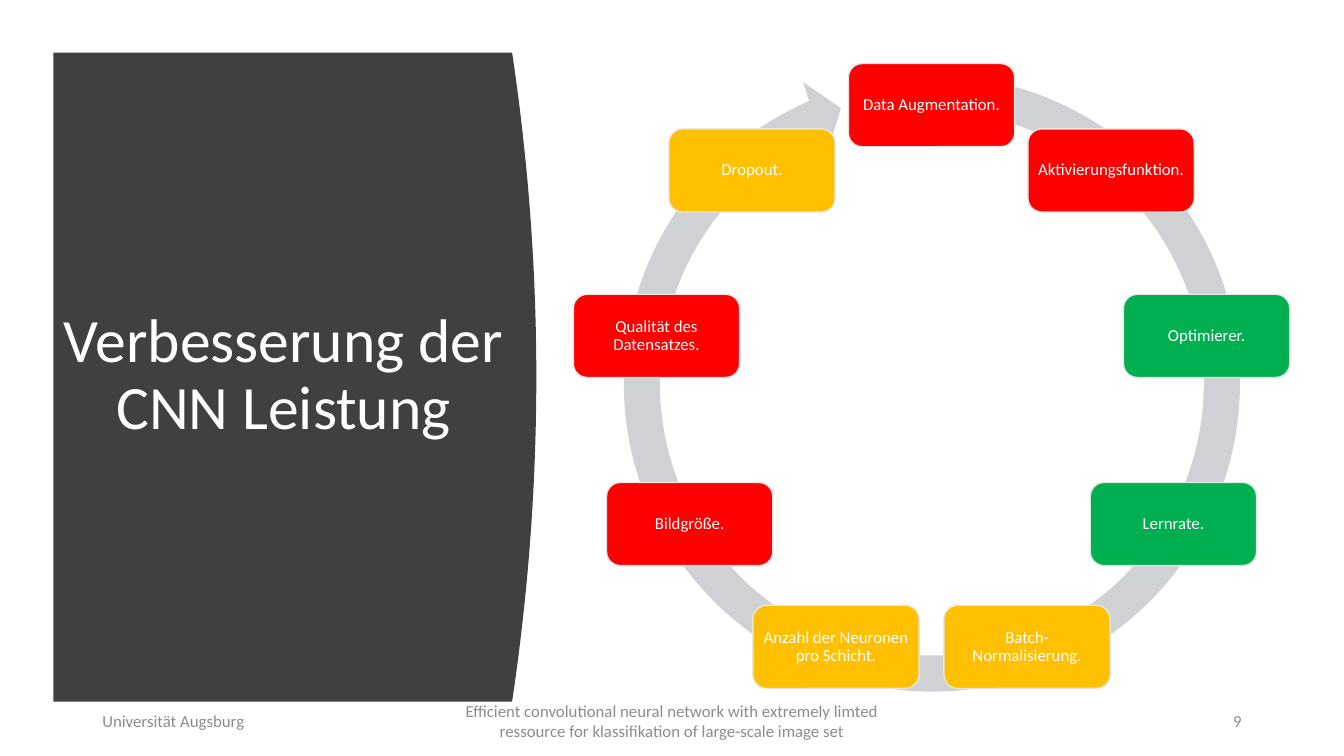
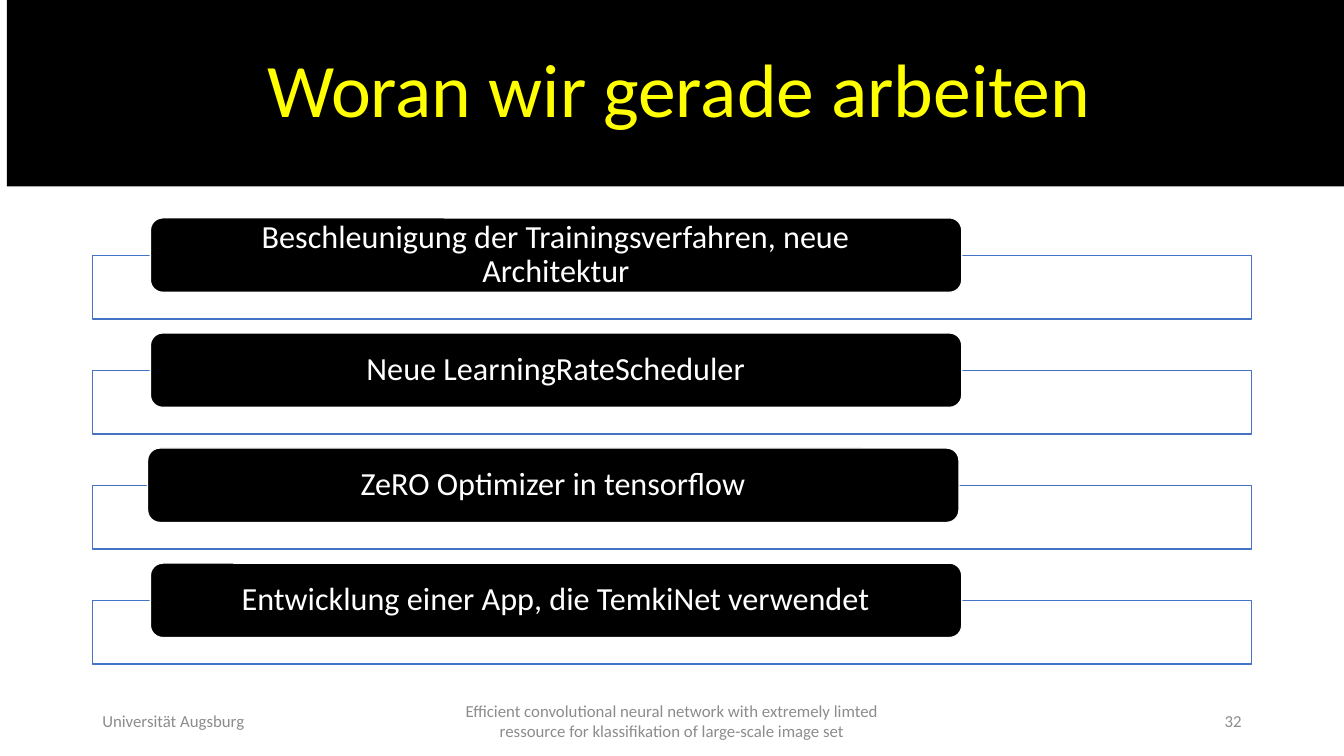
from dataclasses import dataclass
from math import cos, radians, sin

from lxml import etree
from pptx import Presentation
from pptx.dml.color import RGBColor
from pptx.enum.shapes import MSO_SHAPE
from pptx.enum.text import MSO_ANCHOR, MSO_AUTO_SIZE, PP_ALIGN
from pptx.oxml.ns import qn
from pptx.shapes.autoshape import Shape
from pptx.slide import Slide
from pptx.util import Pt

RECTANGLE = MSO_SHAPE.RECTANGLE
ROUNDED = MSO_SHAPE.ROUNDED_RECTANGLE
CIRCULAR_ARROW = MSO_SHAPE.CIRCULAR_ARROW
LEFT, CENTER, RIGHT = PP_ALIGN.LEFT, PP_ALIGN.CENTER, PP_ALIGN.RIGHT
MIDDLE = MSO_ANCHOR.MIDDLE
NO_AUTOFIT = MSO_AUTO_SIZE.NONE

FONT = "Calibri"
COLORS = {
    "white": "FFFFFF",
    "black": "000000",
    "panel": "404040",
    "ring": "CFD1D4",
    "outline": "E7E6E6",
    "red": "FF0000",
    "green": "00B050",
    "amber": "FFC000",
    "yellow": "FFFF00",
    "blue": "4472C4",
    "footer": "8C8C8C",
}
TITLE_ONLY = 5
FOOTER_TOP, FOOTER_HEIGHT = 500.5, 29


@dataclass(frozen=True)
class Box:
    left: float
    top: float
    width: float
    height: float

    def lengths(self) -> tuple[Pt, Pt, Pt, Pt]:
        return Pt(self.left), Pt(self.top), Pt(self.width), Pt(self.height)


@dataclass(frozen=True)
class TextStyle:
    size: float
    color: str
    align: PP_ALIGN = CENTER
    line_spacing: float = 0.9
    inset_x: float = 7.2
    inset_y: float = 3.6


@dataclass(frozen=True)
class Factor:
    text: str
    color: str


@dataclass(frozen=True)
class Task:
    text: str
    shift: float = 0


FACTORS = [
    Factor("Data Augmentation.", "red"),
    Factor("Aktivierungsfunktion.", "red"),
    Factor("Optimierer.", "green"),
    Factor("Lernrate.", "green"),
    Factor("Batch-Normalisierung.", "amber"),
    Factor("Anzahl der Neuronen pro Schicht.", "amber"),
    Factor("Bildgröße.", "red"),
    Factor("Qualität des Datensatzes.", "red"),
    Factor("Dropout.", "amber"),
]
TASKS = [
    Task("Beschleunigung der Trainingsverfahren, neue Architektur"),
    Task("Neue LearningRateScheduler"),
    Task("ZeRO Optimizer in tensorflow", shift=-2),
    Task("Entwicklung einer App, die TemkiNet verwendet"),
]
FACTOR_STYLE = TextStyle(12, "white", inset_x=3, inset_y=3)
TASK_STYLE = TextStyle(23, "white", inset_x=22, inset_y=0)


def rgb(name: str) -> RGBColor:
    return RGBColor.from_string(COLORS[name])


def write_text(shape: Shape, text: str, style: TextStyle) -> None:
    frame = shape.text_frame
    frame.text = text
    frame.word_wrap = True
    frame.auto_size = NO_AUTOFIT
    frame.vertical_anchor = MIDDLE
    frame.margin_left = frame.margin_right = Pt(style.inset_x)
    frame.margin_top = frame.margin_bottom = Pt(style.inset_y)
    paragraph = frame.paragraphs[0]
    paragraph.alignment = style.align
    paragraph.line_spacing = style.line_spacing
    paragraph.font.name = FONT
    paragraph.font.size = Pt(style.size)
    paragraph.font.color.rgb = rgb(style.color)


def paint(shape: Shape, fill: str, line: str | None = None) -> None:
    shape.shadow.inherit = False
    shape.fill.solid()
    shape.fill.fore_color.rgb = rgb(fill)
    if line is None:
        shape.line.fill.background()
    else:
        shape.line.color.rgb = rgb(line)
        shape.line.width = Pt(1)


def add_shape(slide: Slide, kind: MSO_SHAPE, box: Box, fill: str,
              line: str | None = None) -> Shape:
    shape = slide.shapes.add_shape(kind, *box.lengths())
    paint(shape, fill, line)
    return shape


def set_opacity(shape: Shape, percent: int) -> None:
    color = shape.element.spPr.find(f"{qn('a:solidFill')}/{qn('a:srgbClr')}")
    etree.SubElement(color, qn("a:alpha"), val=str(percent * 1000))


def set_title(slide: Slide, text: str, box: Box, style: TextStyle) -> Shape:
    title = slide.shapes.title
    title.left, title.top, title.width, title.height = box.lengths()
    write_text(title, text, style)
    return title


def add_footer(slide: Slide, number: int) -> None:
    entries = [
        ("Universität Augsburg", 66, 216, LEFT),
        ("Efficient convolutional neural network with extremely limted "
         "ressource for klassifikation of large-scale image set", 318, 324, CENTER),
        (str(number), 678, 216, RIGHT),
    ]
    for text, left, width, align in entries:
        box = Box(left, FOOTER_TOP, width, FOOTER_HEIGHT)
        shape = slide.shapes.add_textbox(*box.lengths())
        write_text(shape, text, TextStyle(12, "footer", align, 1.0))


def add_curved_panel(slide: Slide) -> Shape:
    left, edge, bulge = 38.2, 365.8, 17.3
    middle, half_height, steps = 269.3, 231.8, 40
    curve = []
    for step in range(steps + 1):
        offset = 2 * step / steps - 1
        curve.append((Pt(edge + bulge * (1 - offset ** 2)),
                      Pt(middle + half_height * offset)))
    builder = slide.shapes.build_freeform(
        Pt(left), Pt(middle - half_height), scale=1.0)
    builder.add_line_segments(
        [*curve, (Pt(left), Pt(middle + half_height))], close=True)
    panel = builder.convert_to_shape()
    paint(panel, "panel")
    return panel


def add_factor_ring(slide: Slide) -> None:
    center_x, center_y, radius = 665.4, 274.6, 199.5
    width, height = 118.8, 59.4
    ring = add_shape(slide, CIRCULAR_ARROW, Box(431.3, 39.6, 468.7, 468.7), "ring")
    for index, value in enumerate((0.055, 3.307, 147.727, 168.045, 0.058)):
        ring.adjustments[index] = value
    for index, factor in enumerate(FACTORS):
        angle = radians(360 * index / len(FACTORS))
        box = Box(center_x + radius * sin(angle) - width / 2,
                  center_y - radius * cos(angle) - height / 2, width, height)
        shape = add_shape(slide, ROUNDED, box, factor.color, "outline")
        write_text(shape, factor.text, FACTOR_STYLE)


def add_task_list(slide: Slide) -> None:
    top, pitch = 155.6, 82.2
    for index, task in enumerate(TASKS):
        row_top = top + index * pitch
        bar = add_shape(slide, RECTANGLE, Box(66, row_top + 26.8, 828, 45.4),
                        "white", "blue")
        set_opacity(bar, 90)
        label = add_shape(slide, ROUNDED,
                          Box(107.4 + task.shift, row_top, 579.6, 53.2),
                          "black", "white")
        write_text(label, task.text, TASK_STYLE)


def build_improvement_slide(slide: Slide) -> None:
    title = set_title(slide, "Verbesserung der CNN Leistung",
                      Box(38.2, 80, 329, 377.3), TextStyle(44, "white"))
    panel = add_curved_panel(slide)
    title.element.addprevious(panel.element)
    add_factor_ring(slide)
    add_footer(slide, 9)


def build_work_slide(slide: Slide) -> None:
    title = set_title(slide, "Woran wir gerade arbeiten",
                      Box(5, 0, 960, 133.2), TextStyle(54, "yellow"))
    title.fill.solid()
    title.fill.fore_color.rgb = rgb("black")
    add_task_list(slide)
    add_footer(slide, 32)


def main() -> None:
    presentation = Presentation()
    presentation.slide_width, presentation.slide_height = Pt(960), Pt(540)
    layout = presentation.slide_layouts[TITLE_ONLY]
    for build in (build_improvement_slide, build_work_slide):
        build(presentation.slides.add_slide(layout))
    presentation.save("out.pptx")


if __name__ == "__main__":
    main()
